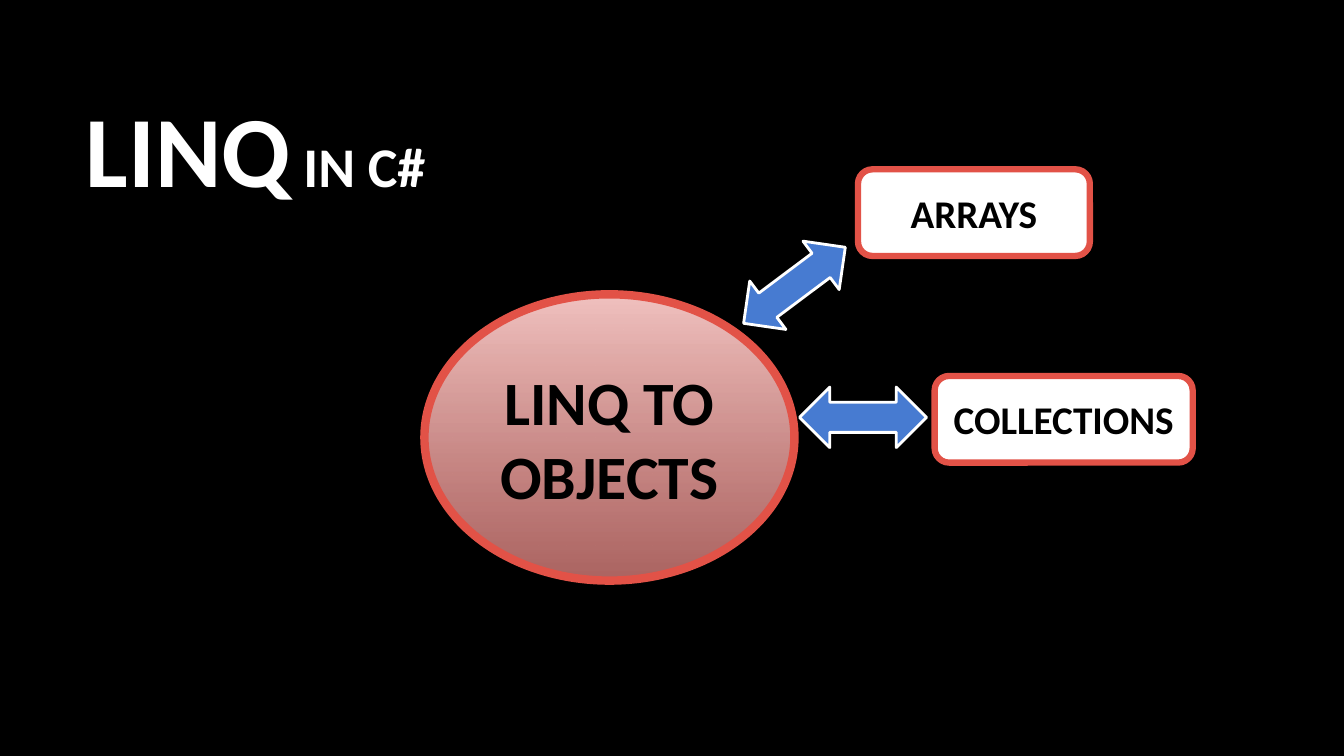
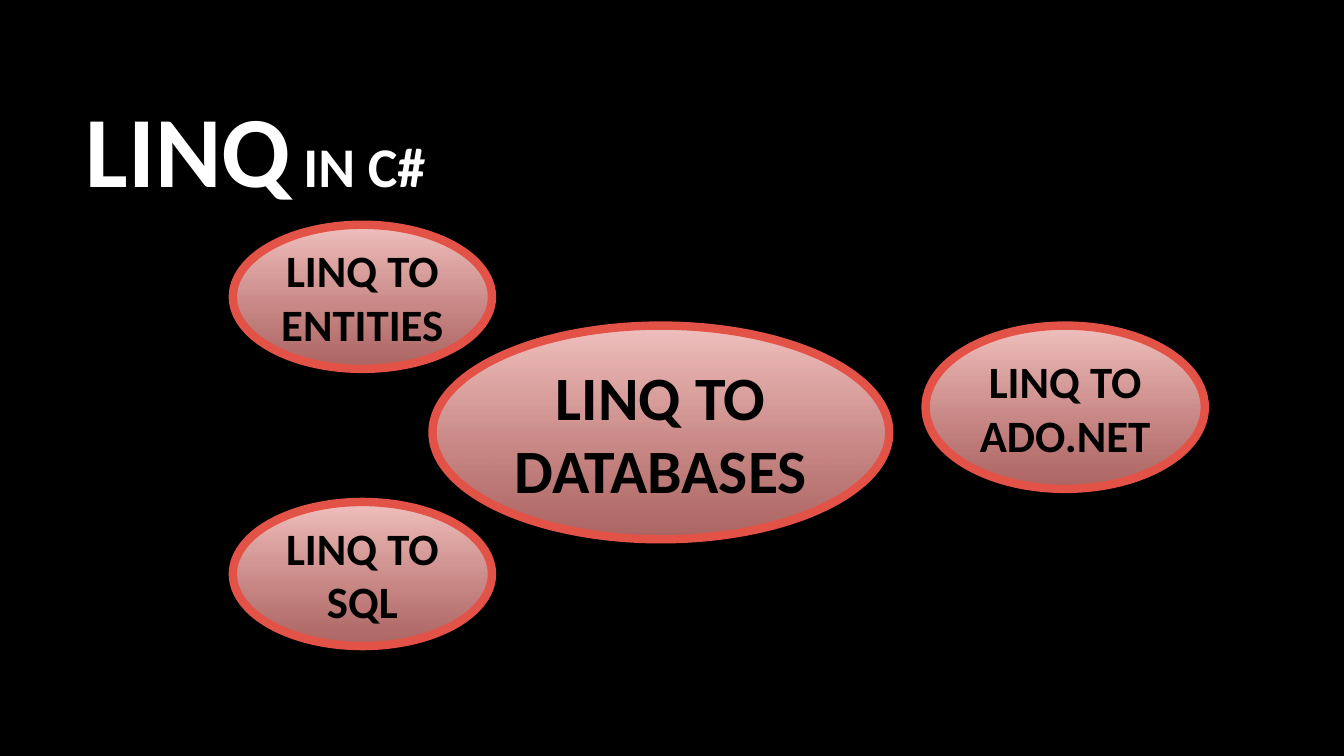
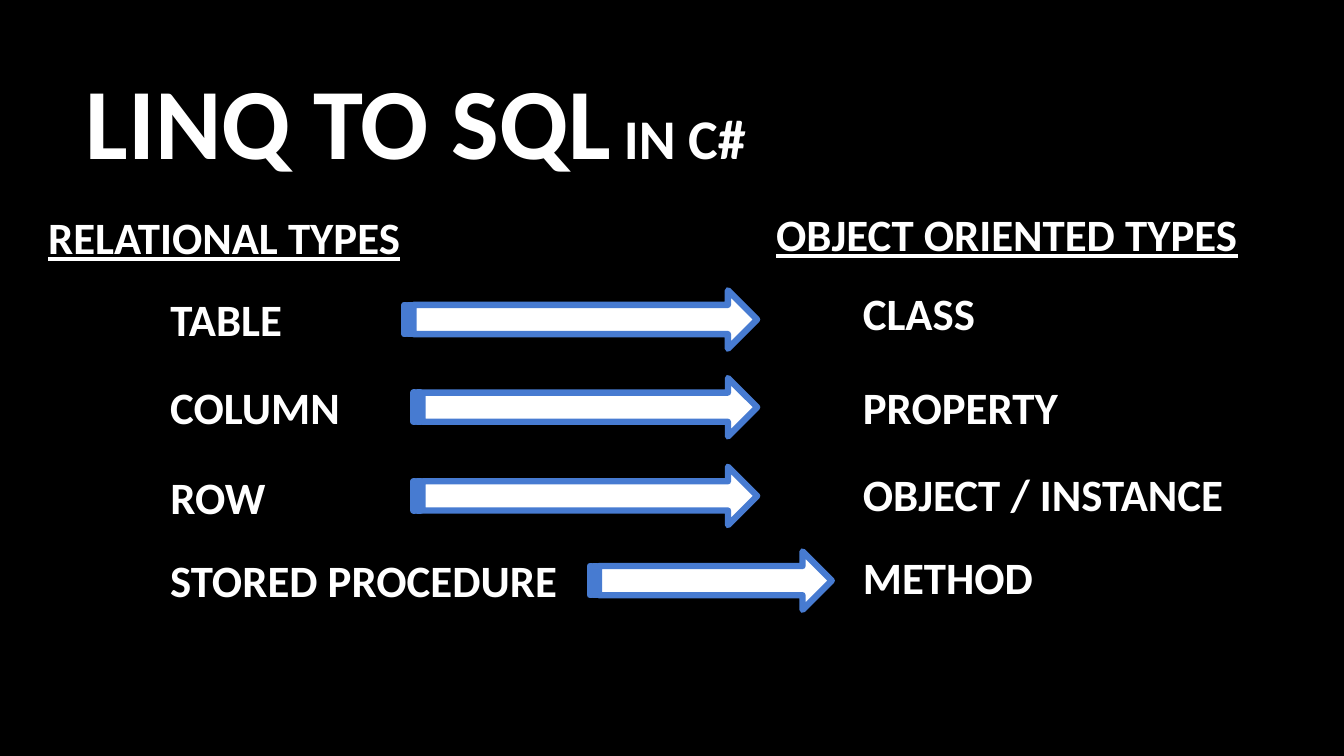
from dataclasses import dataclass

from lxml.etree import SubElement
from pptx import Presentation
from pptx.dml.color import RGBColor
from pptx.enum.shapes import MSO_SHAPE
from pptx.enum.text import MSO_ANCHOR, MSO_AUTO_SIZE, PP_ALIGN
from pptx.oxml.ns import qn
from pptx.util import Inches, Pt


@dataclass(frozen=True)
class Theme:
    font: str = "Calibri"
    black: RGBColor = RGBColor(0x00, 0x00, 0x00)
    white: RGBColor = RGBColor(0xFF, 0xFF, 0xFF)
    red: RGBColor = RGBColor(0xE2, 0x52, 0x47)
    blue: RGBColor = RGBColor(0x47, 0x7B, 0xD1)
    oval_top: RGBColor = RGBColor(0xF2, 0xC2, 0xC0)
    oval_bottom: RGBColor = RGBColor(0xE8, 0x89, 0x85)
    oval_bottom_opacity: int = 74
    title: int = 72
    subtitle: int = 40
    hub: int = 44
    body: int = 32
    card: int = 28
    oval_line: float = 6
    thick_line: float = 4.5
    thin_line: float = 2


THEME = Theme()
TITLE_SUFFIX = " IN C#"

# Boxes are left, top, width, height in inches
OBJECTS_HUB = (["LINQ TO OBJECTS"], (4.21, 2.92, 3.67, 2.84))
OBJECT_SOURCES = [
    # label, card box, arrow box, arrow rotation
    ("ARRAYS", (8.51, 1.68, 2.3, 0.86), (7.25, 2.53, 1.26, 0.6), 323.2),
    ("COLLECTIONS", (9.27, 3.73, 2.56, 0.86), (7.93, 3.84, 1.26, 0.6), 0),
]

DATABASES_HUB = (["LINQ TO DATABASES"], (4.29, 3.23, 4.53, 2.12))
DATABASE_FLAVOURS = [
    (["LINQ TO", "SQL"], (2.31, 4.98, 2.57, 1.43)),
    (["LINQ TO", "ADO.NET"], (9.18, 3.23, 2.77, 1.62)),
    (["LINQ TO ENTITIES"], (2.31, 2.23, 2.57, 1.43)),
]

TYPE_HEADINGS = [
    # text, left, top, width
    ("RELATIONAL TYPES", 0.38, 2.03, 3.72),
    ("OBJECT ORIENTED TYPES", 7.6, 2, 4.82),
]
RELATIONAL_LEFT, OBJECT_LEFT = 1.59, 8.46
LABEL_HEIGHT, ARROW_HEIGHT = 0.64, 0.58
TYPE_PAIRS = [
    # (relational, top, width), (arrow left, top, right), (object, top, width)
    (("TABLE", 2.84, 1.42), (4.01, 2.88, 7.51), ("CLASS", 2.79, 1.33)),
    (("COLUMN", 3.72, 2), (4.1, 3.75, 7.51), ("PROPERTY", 3.72, 2.25)),
    (("ROW", 4.61, 1.15), (4.1, 4.63, 7.51), ("OBJECT / INSTANCE", 4.58, 3.92)),
    (("STORED PROCEDURE", 5.43, 4.17), (5.85, 5.47, 8.25), ("METHOD", 5.4, 2.01)),
]


def add_run(paragraph, text, size, color, underline=None):
    run = paragraph.add_run()
    run.text = text
    font = run.font
    font.name, font.size, font.bold = THEME.font, Pt(size), True
    font.color.rgb = color
    font.underline = underline


def add_titled_slide(prs, topic, top):
    slide = prs.slides.add_slide(prs.slide_layouts[5])
    title = slide.shapes.title
    title.left, title.top = Inches(0.75), Inches(top)
    title.width, title.height = Inches(11.08), Inches(1.59)
    frame = title.text_frame
    frame.auto_size = MSO_AUTO_SIZE.NONE
    frame.vertical_anchor = MSO_ANCHOR.MIDDLE
    paragraph = frame.paragraphs[0]
    paragraph.alignment = PP_ALIGN.LEFT
    add_run(paragraph, topic, THEME.title, THEME.white)
    add_run(paragraph, TITLE_SUFFIX, THEME.subtitle, THEME.white)
    return slide


def add_outlined(slide, preset, box, fill, line, line_width):
    shape = slide.shapes.add_shape(preset, *map(Inches, box))
    shape.shadow.inherit = False
    shape.fill.solid()
    shape.fill.fore_color.rgb = fill
    shape.line.color.rgb = line
    shape.line.width = Pt(line_width)
    return shape


def add_centred_lines(shape, lines, size):
    frame = shape.text_frame
    frame.word_wrap = True
    frame.vertical_anchor = MSO_ANCHOR.MIDDLE
    for index, line in enumerate(lines):
        paragraph = frame.add_paragraph() if index else frame.paragraphs[0]
        paragraph.alignment = PP_ALIGN.CENTER
        add_run(paragraph, line, size, THEME.black)


def add_oval(slide, lines, box, size):
    oval = add_outlined(slide, MSO_SHAPE.OVAL, box, THEME.oval_top,
                        THEME.red, THEME.oval_line)
    oval.fill.gradient()
    oval.fill.gradient_angle = 270
    first, last = oval.fill.gradient_stops
    first.position, last.position = 0, 1
    first.color.rgb, last.color.rgb = THEME.oval_top, THEME.oval_bottom
    bottom_color = oval.element.findall(".//" + qn("a:gs"))[-1][0]
    SubElement(bottom_color, qn("a:alpha"), val=str(THEME.oval_bottom_opacity * 1000))
    add_centred_lines(oval, lines, size)


def add_label(slide, text, left, top, width, underline=None):
    label = slide.shapes.add_textbox(*map(Inches, (left, top, width, LABEL_HEIGHT)))
    frame = label.text_frame
    frame.word_wrap = False
    frame.auto_size = MSO_AUTO_SIZE.SHAPE_TO_FIT_TEXT
    add_run(frame.paragraphs[0], text, THEME.body, THEME.white, underline)


def build_objects_slide(prs):
    slide = add_titled_slide(prs, "LINQ", 0.67)
    add_oval(slide, *OBJECTS_HUB, THEME.hub)
    for source, card_box, arrow_box, rotation in OBJECT_SOURCES:
        arrow = add_outlined(slide, MSO_SHAPE.LEFT_RIGHT_ARROW, arrow_box,
                             THEME.blue, THEME.white, THEME.thin_line)
        arrow.rotation = rotation
        card = add_outlined(slide, MSO_SHAPE.ROUNDED_RECTANGLE, card_box,
                            THEME.white, THEME.red, THEME.thick_line)
        add_centred_lines(card, [source], THEME.card)


def build_databases_slide(prs):
    slide = add_titled_slide(prs, "LINQ", 0.67)
    add_oval(slide, *DATABASES_HUB, THEME.hub)
    for lines, box in DATABASE_FLAVOURS:
        add_oval(slide, lines, box, THEME.body)


def build_mapping_slide(prs):
    slide = add_titled_slide(prs, "LINQ TO SQL", 0.39)
    for heading in TYPE_HEADINGS:
        add_label(slide, *heading, underline=True)
    for relational, (left, arrow_top, right), counterpart in TYPE_PAIRS:
        for column_left, (text, top, width) in ((RELATIONAL_LEFT, relational),
                                                (OBJECT_LEFT, counterpart)):
            add_label(slide, text, column_left, top, width)
        add_outlined(slide, MSO_SHAPE.STRIPED_RIGHT_ARROW,
                     (left, arrow_top, right - left, ARROW_HEIGHT),
                     THEME.white, THEME.blue, THEME.thick_line)


def main():
    prs = Presentation()
    prs.slide_width, prs.slide_height = Inches(13.33), Inches(7.5)
    background = prs.slide_master.background.fill
    background.solid()
    background.fore_color.rgb = THEME.black
    build_objects_slide(prs)
    build_databases_slide(prs)
    build_mapping_slide(prs)
    prs.save("out.pptx")


if __name__ == "__main__":
    main()
